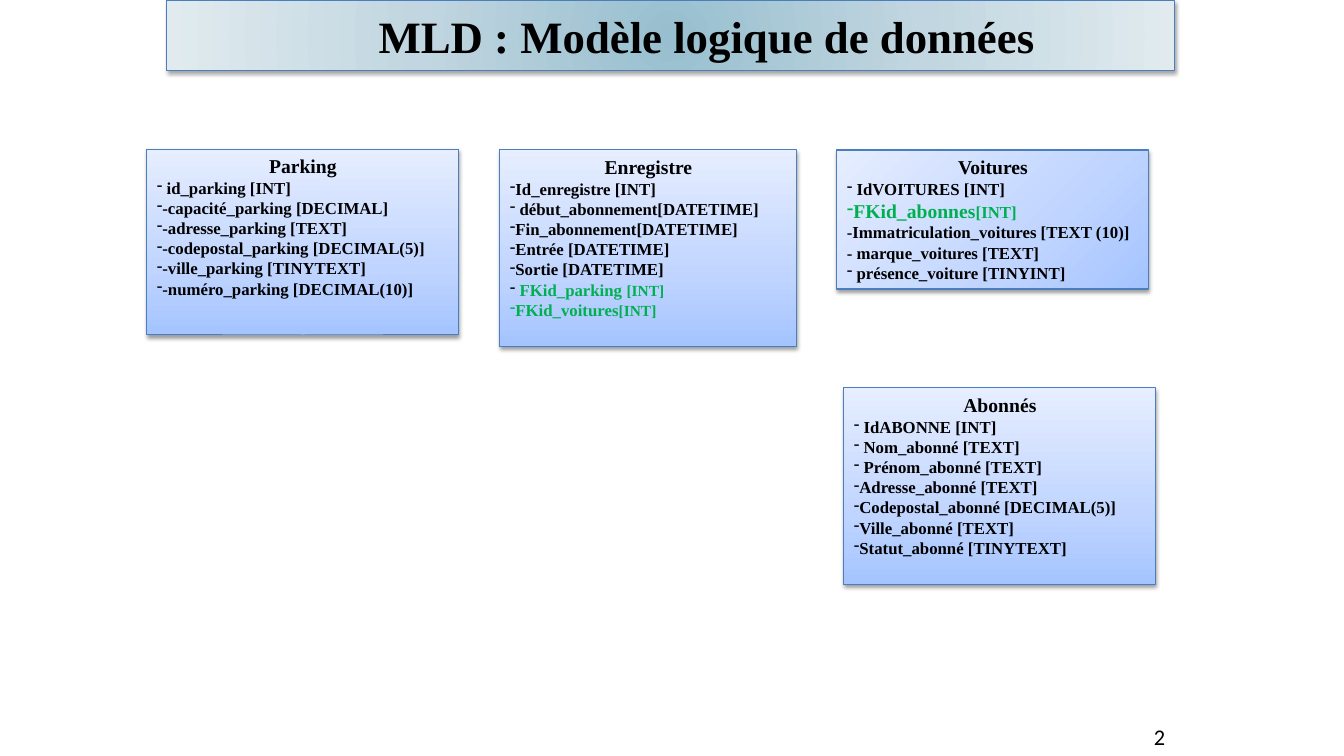
from pptx import Presentation
from pptx.dml.color import RGBColor
from pptx.enum.shapes import MSO_SHAPE as Shape
from pptx.enum.text import MSO_ANCHOR as Anchor, PP_ALIGN as Align
from pptx.oxml import parse_xml
from pptx.oxml.ns import nsdecls, qn
from pptx.util import Emu, Pt

PX = 914400 / 100.8
SERIF = "Times New Roman"
BLACK = RGBColor(0x00, 0x00, 0x00)
GREEN = RGBColor(0x00, 0xB0, 0x50)
EDGE = RGBColor(0x4B, 0x7E, 0xBC)
BLUES = [(0, RGBColor(0xA4, 0xC4, 0xFF)), (35, RGBColor(0xBF, 0xD4, 0xFF)),
         (100, RGBColor(0xE6, 0xEE, 0xFF))]
TEALS = [(0, RGBColor(0x98, 0xBF, 0xCF)), (50, RGBColor(0xC1, 0xD6, 0xE0)),
         (100, RGBColor(0xE1, 0xEB, 0xEF))]
UPWARD = '<a:lin ang="16200000" scaled="1"/>'
FROM_CORNER = '<a:path path="circle"><a:fillToRect l="100000" t="100000"/></a:path>'
FROM_CENTRE = ('<a:path path="circle">'
               '<a:fillToRect l="50000" t="50000" r="50000" b="50000"/></a:path>')


def px(*lengths):
    """Turn pixel lengths into EMU."""
    return [Emu(round(length * PX)) for length in lengths]


def field(*spans, bullet=True):
    """Describe one column of a table as (text, size, colour) spans."""
    return spans, bullet


def plain(text, bullet=True):
    """Describe a column written in a single black span."""
    return field((text, 12, BLACK), bullet=bullet)


def add_panel(page, place, stops, direction, opacity):
    """Add a shadowed rectangle with a gradient fill."""
    box = page.shapes.add_shape(Shape.RECTANGLE, *px(*place))
    box.fill.background()
    stop_list = "".join(
        f'<a:gs pos="{at * 1000}"><a:srgbClr val="{colour}"/></a:gs>'
        for at, colour in stops)
    gradient = parse_xml(f'<a:gradFill {nsdecls("a")} rotWithShape="1">'
                         f'<a:gsLst>{stop_list}</a:gsLst>{direction}</a:gradFill>')
    properties = box.element.spPr
    properties.replace(properties.find(qn("a:noFill")), gradient)
    box.line.color.rgb = EDGE
    box.line.width = Pt(0.75)
    box.shadow.inherit = False
    properties.find(qn("a:effectLst")).append(parse_xml(
        f'<a:outerShdw {nsdecls("a")} blurRad="{Pt(3.1)}" dist="{Pt(1.6)}" '
        f'dir="5400000" rotWithShape="0"><a:srgbClr val="000000">'
        f'<a:alpha val="{opacity * 1000}"/></a:srgbClr></a:outerShdw>'))
    return box


def write(para, spans, name=SERIF, bold=True, align=Align.LEFT, bullet=False):
    """Fill a paragraph with spans, with an optional dash bullet."""
    para.alignment = align
    if bullet:
        properties = para._p.get_or_add_pPr()
        properties.set("marL", "0")
        properties.set("indent", "0")
        properties.append(parse_xml(f'<a:buFontTx {nsdecls("a")}/>'))
        properties.append(parse_xml(f'<a:buChar {nsdecls("a")} char="-"/>'))
    para.font.name = name
    para.font.bold = bold
    for text, size, colour in spans:
        span = para.add_run()
        span.text = text
        span.font.size = Pt(size)
        span.font.color.rgb = colour


def add_entity(page, place, title, fields, direction=UPWARD):
    """Add one database table: a heading and its columns."""
    box = add_panel(page, place, BLUES, direction, 38)
    frame = box.text_frame
    frame.word_wrap = True
    frame.vertical_anchor = Anchor.TOP
    write(frame.paragraphs[0], [(title, 14, BLACK)], align=Align.CENTER)
    for spans, bullet in fields:
        write(frame.add_paragraph(), spans, bullet=bullet)


def add_label(page, place, text, size, **style):
    """Add a text box with one paragraph."""
    frame = page.shapes.add_textbox(*px(*place)).text_frame
    frame.word_wrap = True
    write(frame.paragraphs[0], [(text, size, BLACK)], **style)


def main():
    """Build the logical data model slide."""
    deck = Presentation()
    deck.slide_width, deck.slide_height = px(1344, 756)
    page = deck.slides.add_slide(deck.slide_layouts[6])

    add_entity(page, (147, 149, 312, 186), "Parking", map(plain, [
        " id_parking [INT]", "-capacité_parking [DECIMAL]",
        "-adresse_parking [TEXT]", "-codepostal_parking [DECIMAL(5)]",
        "-ville_parking [TINYTEXT]", "-numéro_parking [DECIMAL(10)]"]))
    add_entity(page, (844, 388, 312, 197), "Abonnés", map(plain, [
        " IdABONNE [INT]", " Nom_abonné [TEXT]", " Prénom_abonné [TEXT]",
        "Adresse_abonné [TEXT]", "Codepostal_abonné [DECIMAL(5)]",
        "Ville_abonné [TEXT]", "Statut_abonné [TINYTEXT]"]))
    add_entity(page, (837, 150, 312, 139), "Voitures", [
        plain(" IdVOITURES [INT]"),
        field(("FKid_abonnes", 14, GREEN), ("[INT]", 12, GREEN)),
        plain("-Immatriculation_voitures [TEXT (10)]", bullet=False),
        plain("- marque_voitures [TEXT]", bullet=False),
        plain(" présence_voiture [TINYINT]")], FROM_CORNER)
    add_entity(page, (500, 150, 297, 197), "Enregistre", [
        *map(plain, ["Id_enregistre [INT]", " début_abonnement[DATETIME]",
                     "Fin_abonnement[DATETIME]", "Entrée [DATETIME]",
                     "Sortie [DATETIME]"]),
        field((" ", 12, BLACK), ("FKid_parking ", 12, GREEN), ("[INT]", 11, GREEN)),
        field(("FKid_voitures", 12, GREEN), ("[INT]", 11, GREEN))])

    add_panel(page, (167, 1, 1008, 70), TEALS, FROM_CENTRE, 35)
    add_label(page, (314, 4, 797, 95), "MLD : Modèle logique de données ", 32,
              align=Align.CENTER)
    add_label(page, (1144, 718, 64, 37), "2", 16, name="Calibri", bold=False)
    deck.save("out.pptx")


if __name__ == "__main__":
    main()
